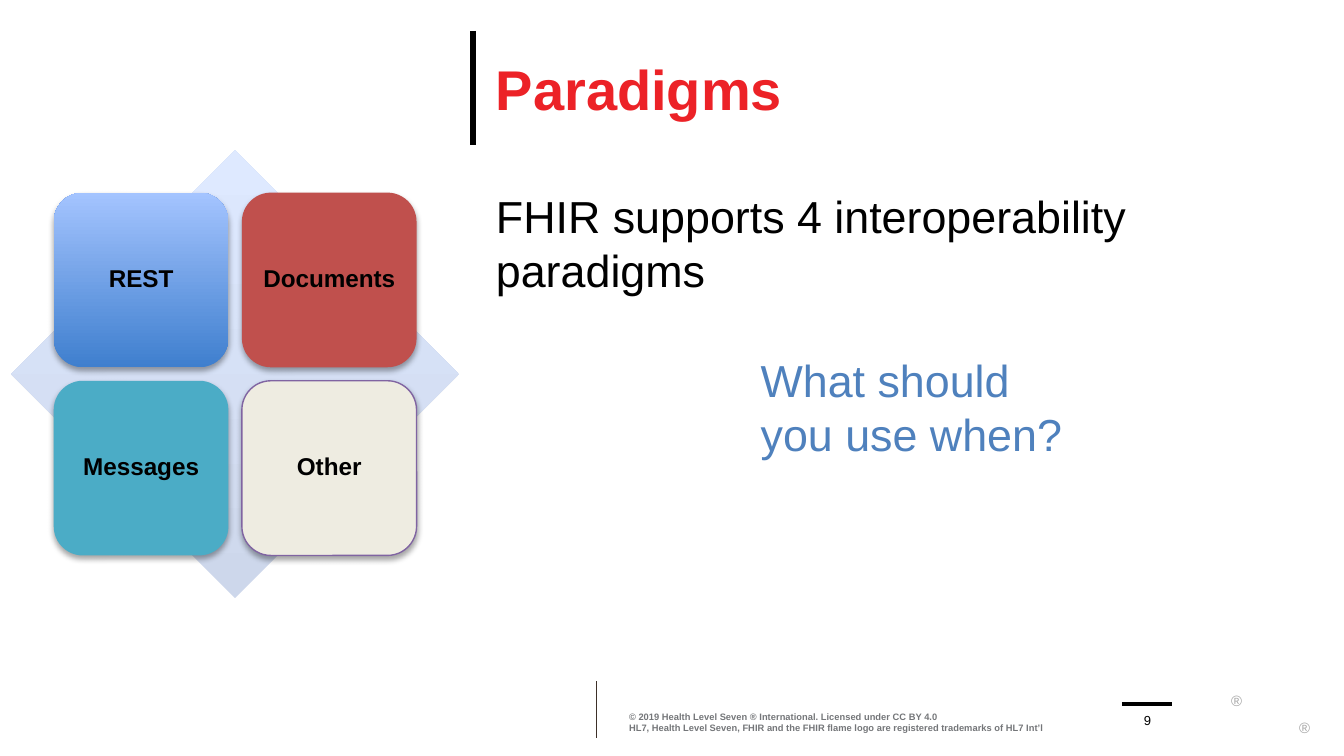
import pptx
import pptx.util
import pptx.oxml
import pptx.oxml.ns
import pptx.dml.color
import pptx.enum.shapes
import pptx.enum.text
from lxml import etree

Pt = pptx.util.Pt
SHAPE = pptx.enum.shapes.MSO_SHAPE
ANCHOR = pptx.enum.text.MSO_ANCHOR
ALIGN = pptx.enum.text.PP_ALIGN
qn = pptx.oxml.ns.qn

CARD_SIZE, CARD_PITCH = 93.6, 100.8
CARD_LEFT, CARD_TOP = 28.8, 103.2
CARDS = [
    ("REST", ("3F7FCE", "A4C4FF"), None),
    ("Documents", ("C0504D",), None),
    ("Messages", ("4BACC6",), None),
    ("Other", ("EEECE1",), "8064A2"),
]


def rgb(value):
    return pptx.dml.color.RGBColor.from_string(value)


def write(sp, text, size, color, bold=False, align=ALIGN.LEFT,
          anchor=ANCHOR.TOP, margins=(0, 0)):
    """Fill a shape's text frame; margins are (sides, top and bottom)."""
    tf = sp.text_frame
    tf.text = text
    tf.word_wrap = True
    tf.auto_size = pptx.enum.text.MSO_AUTO_SIZE.NONE
    tf.vertical_anchor = anchor
    tf.margin_left = tf.margin_right = Pt(margins[0])
    tf.margin_top = tf.margin_bottom = Pt(margins[1])
    for p in tf.paragraphs:
        p.alignment = align
        for r in p.runs:
            r.font.name = "Arial"
            r.font.size = Pt(size)
            r.font.bold = bold
            r.font.color.rgb = rgb(color)


def add_text(s, box, text, size, color, **style):
    sp = s.shapes.add_textbox(*map(Pt, box))
    write(sp, text, size, color, **style)


def add_title(s, box, text):
    sp = s.shapes.title
    sp.left, sp.top, sp.width, sp.height = map(Pt, box)
    write(sp, text, 30, "EC2227", bold=True, anchor=ANCHOR.MIDDLE)


def add_rule(s, start, end, color, width):
    line = s.shapes.add_connector(
        pptx.enum.shapes.MSO_CONNECTOR.STRAIGHT, *map(Pt, start + end))
    line.line.color.rgb = rgb(color)
    line.line.width = Pt(width)
    etree.SubElement(line._element.spPr, qn("a:effectLst"))


def add_filled(s, kind, box, colors, outline=None):
    """Add a shape with a solid fill, or a gradient running bottom to top."""
    sp = s.shapes.add_shape(kind, *map(Pt, box))
    sp.shadow.inherit = False
    if len(colors) == 1:
        sp.fill.solid()
        sp.fill.fore_color.rgb = rgb(colors[0])
    else:
        sp.fill.gradient()
        sp.fill.gradient_angle = 90
        for stop, color, position in zip(sp.fill.gradient_stops, colors, (0, 1)):
            stop.color.rgb = rgb(color)
            stop.position = position
    if outline:
        sp.line.color.rgb = rgb(outline)
        sp.line.width = Pt(0.75)
    else:
        sp.line.fill.background()
    return sp


def add_shadow(sp):
    effects = sp._element.spPr.find(qn("a:effectLst"))
    shadow = etree.SubElement(
        effects, qn("a:outerShdw"), blurRad=str(Pt(3.1)), dist=str(Pt(1.8)),
        dir="5400000", rotWithShape="0")
    color = etree.SubElement(shadow, qn("a:srgbClr"), val="000000")
    etree.SubElement(color, qn("a:alpha"), val="35000")


def add_paradigm_matrix(s):
    add_filled(s, SHAPE.DIAMOND, (5.9, 80.4, 240, 240), ("CDD7EB", "DEE9FF"))
    for i, (label, colors, outline) in enumerate(CARDS):
        row, col = divmod(i, 2)
        box = (CARD_LEFT + col * CARD_PITCH, CARD_TOP + row * CARD_PITCH,
               CARD_SIZE, CARD_SIZE)
        sp = add_filled(s, SHAPE.ROUNDED_RECTANGLE, box, colors, outline)
        add_shadow(sp)
        write(sp, label, 13, "000000", bold=True, align=ALIGN.CENTER,
              anchor=ANCHOR.MIDDLE, margins=(3.6, 3.6))
        sp.text_frame.paragraphs[0].line_spacing = 0.9


def add_footer(s):
    add_rule(s, (319.7, 365), (319.7, 395.3), "3D3029", 0.5)
    add_rule(s, (601, 377.1), (628, 377.1), "000000", 2)
    for left, top in ((659.5, 370.5), (696, 385)):
        add_text(s, (left, top, 8, 9), "®", 8, "A6A6A6")
    add_text(s, (337, 377.3, 244, 15.8),
             "© 2019 Health Level Seven ® International. Licensed under CC BY 4.0\n"
             "HL7, Health Level Seven, FHIR and the FHIR flame logo are "
             "registered trademarks of HL7 Int’l",
             5, "747679", bold=True, anchor=ANCHOR.BOTTOM)
    add_text(s, (604, 378, 21.6, 12.2), "9", 7, "000000",
             align=ALIGN.CENTER, anchor=ANCHOR.BOTTOM)


def main():
    prs = pptx.Presentation()
    prs.slide_width, prs.slide_height = Pt(720), Pt(405)
    s = prs.slides.add_slide(prs.slide_layouts[5])

    add_rule(s, (253.4, 16.5), (253.4, 77.8), "000000", 3.25)
    add_title(s, (265.7, 16, 416, 62), "Paradigms")
    add_text(s, (265.7, 101, 425.5, 237),
             "FHIR supports 4 interoperability paradigms", 24, "000000")
    add_footer(s)
    add_paradigm_matrix(s)
    add_text(s, (402.5, 186, 174.2, 76.3), "What should you use when?",
             24, "4F81BD", margins=(5, 3))

    prs.save("out.pptx")


if __name__ == "__main__":
    main()
